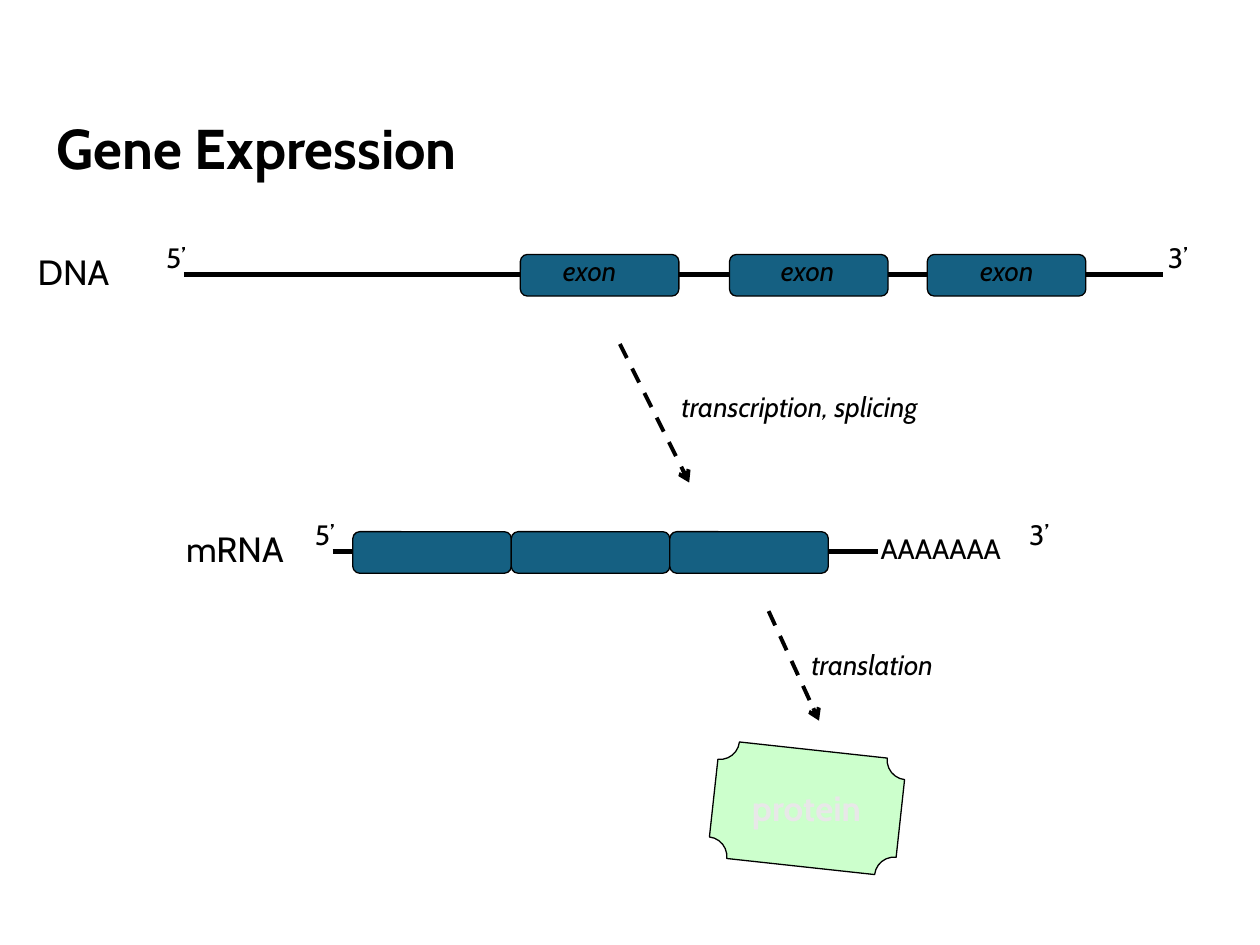
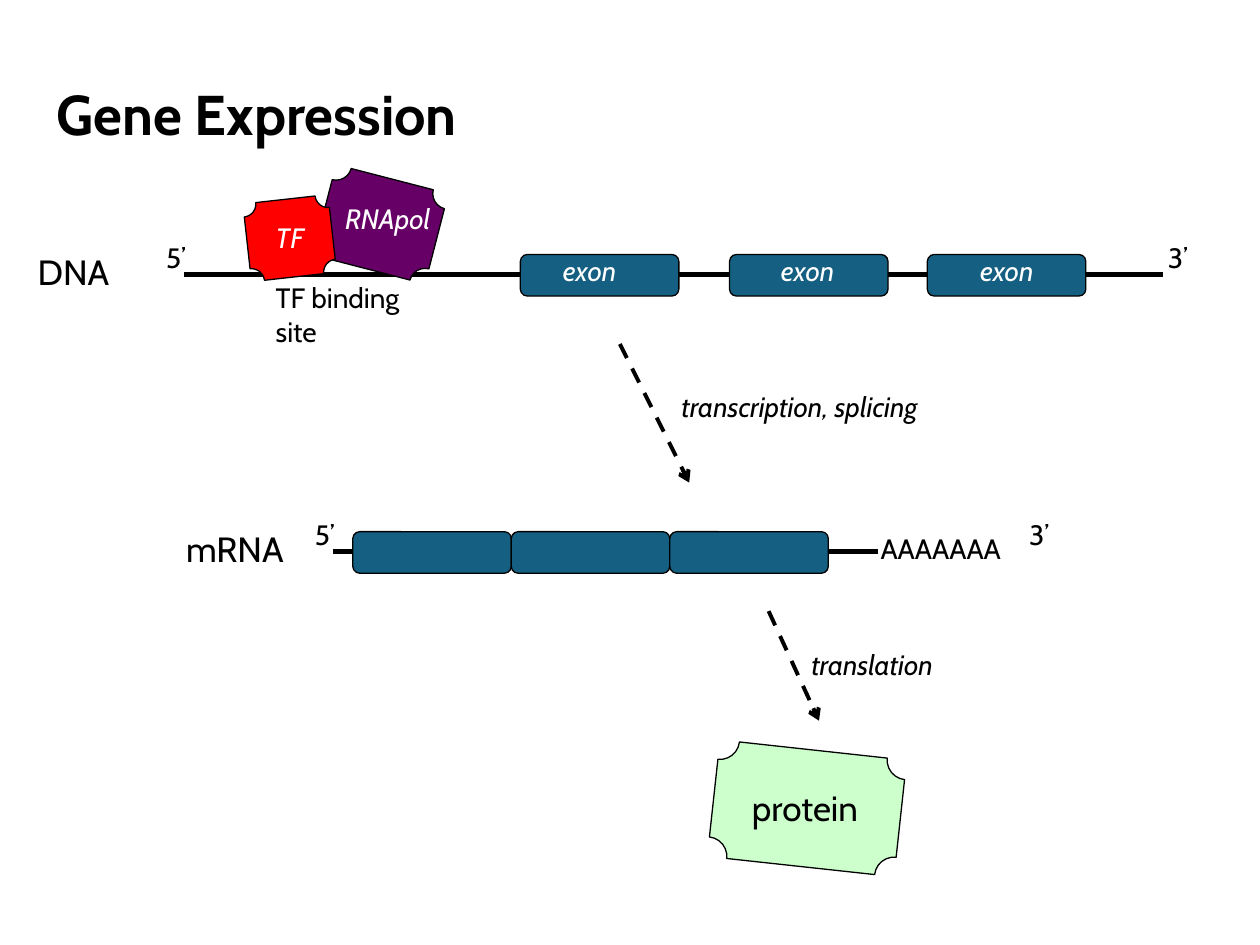
from lxml.etree import SubElement
from pptx import Presentation
from pptx.dml.color import RGBColor
from pptx.enum.dml import MSO_LINE_DASH_STYLE as Dash
from pptx.enum.shapes import MSO_CONNECTOR as Connector, MSO_SHAPE as Shape
from pptx.enum.text import MSO_ANCHOR as Anchor, MSO_AUTO_SIZE as AutoSize, PP_ALIGN as Align
from pptx.oxml.ns import qn
from pptx.util import Inches, Pt

COLOURS = {
    "ink": "000000",
    "white": "FFFFFF",
    "pale": "E8E8E8",
    "exon": "156082",
    "protein": "CCFFCC",
    "polymerase": "660066",
    "factor": "FF0000",
}
PALETTE = {name: RGBColor.from_string(code) for name, code in COLOURS.items()}
FONT = "Cabin"

deck = Presentation()
deck.slide_width, deck.slide_height = Inches(10), Inches(7.5)
COLUMN = deck.slide_width / 100
ROW = deck.slide_height / 75

EXON_WIDTH, EXON_HEIGHT = 12.58, 3.3
DNA_EXONS = [41.3, 57.9, 73.6]
MRNA_EXONS = [28 + EXON_WIDTH * place for place in range(3)]
STRANDS = [(14.6, 92.3, 21.8), (26.4, 69.7, 43.8)]
ARROWS = [(49.2, 27.3, 54.7, 38.3), (61, 48.5, 65, 57.2)]
STRAND_NAMES = [("DNA", 2, 19.4), ("mRNA", 13.8, 41.4)]
STRAND_ENDS = [("5’", 12.2, 18.6), ("3’", 91.7, 18.6), ("5’", 24, 40.6), ("3’", 80.7, 40.6)]
STEPS = [("transcription, splicing", 53.1, 30.4), ("translation", 63.4, 50.9)]
EXON_LABELS = [43.7, 61, 76.8]


def add_block(page, kind, left, top, width, height, fill, rotation=0):
    block = page.shapes.add_shape(
        kind, round(left * COLUMN), round(top * ROW), round(width * COLUMN), round(height * ROW))
    block.shadow.inherit = False
    block.rotation = rotation
    block.fill.solid()
    block.fill.fore_color.rgb = PALETTE[fill]
    block.line.color.rgb = PALETTE["ink"]
    block.line.width = Pt(0.75)


def add_label(page, text, left, top, width=13.4, size=16, colour="ink", italic=False, bold=False):
    height = 4.4 if size == 20 else 3.7
    box = page.shapes.add_textbox(
        round(left * COLUMN), round(top * ROW), round(width * COLUMN), round(height * ROW))
    box.text_frame.word_wrap = True
    box.text_frame.auto_size = AutoSize.SHAPE_TO_FIT_TEXT
    para = box.text_frame.paragraphs[0]
    para.text = text
    para.font.name, para.font.size = FONT, Pt(size)
    para.font.italic, para.font.bold = italic, bold
    para.font.color.rgb = PALETTE[colour]


title_only = deck.slide_layouts[5]
for title_height, exon_colour, protein_colour, protein_bold, with_factors in [
    (16.8, "ink", "pale", True, False),
    (14.1, "white", "ink", False, True),
]:
    page = deck.slides.add_slide(title_only)

    title = page.shapes.title
    title.left, title.top = round(3.5 * COLUMN), round(-1.9 * ROW)
    title.width, title.height = round(93.7 * COLUMN), round(title_height * ROW)
    title.text_frame.vertical_anchor = Anchor.BOTTOM
    title.text_frame.word_wrap = True
    title.text_frame.auto_size = AutoSize.NONE
    heading = title.text_frame.paragraphs[0]
    heading.text = "Gene Expression"
    heading.alignment = Align.LEFT
    heading.line_spacing = 0.9
    heading.font.name, heading.font.size, heading.font.bold = FONT, Pt(32), True
    heading.font.color.rgb = PALETTE["ink"]

    strands = [(start, level, end, level, 3, False) for start, end, level in STRANDS]
    arrows = [(*ends, 2.25, True) for ends in ARROWS]
    for x1, y1, x2, y2, weight, is_arrow in strands + arrows:
        line = page.shapes.add_connector(
            Connector.STRAIGHT, round(x1 * COLUMN), round(y1 * ROW), round(x2 * COLUMN), round(y2 * ROW))
        line.line.color.rgb = PALETTE["ink"]
        line.line.width = Pt(weight)
        if is_arrow:
            line.line.dash_style = Dash.DASH
            SubElement(line.line._get_or_add_ln(), qn("a:tailEnd"), type="arrow")
        SubElement(line._element.spPr, qn("a:effectLst"))

    for lefts, top in [(DNA_EXONS, 20.2), (MRNA_EXONS, 42.2)]:
        for left in lefts:
            add_block(page, Shape.ROUNDED_RECTANGLE, left, top, EXON_WIDTH, EXON_HEIGHT, "exon")
    for left in EXON_LABELS:
        add_label(page, "exon", left, 19.6, colour=exon_colour, italic=True)

    for name, left, top in STRAND_NAMES:
        add_label(page, name, left, top, size=20)
    for end, left, top in STRAND_ENDS:
        add_label(page, end, left, top, width=4.7)
    add_label(page, "AAAAAAA", 68.9, 41.7, width=22.8)
    for step, left, top in STEPS:
        add_label(page, step, left, top, width=22.8, italic=True)

    add_block(page, Shape.PLAQUE, 56.6, 59.5, 14.9, 9.3, "protein", 6.2)
    add_label(page, "protein", 58.7, 61.9, size=20, colour=protein_colour, bold=protein_bold)

    if with_factors:
        add_block(page, Shape.PLAQUE, 25.6, 14.1, 9.2, 7.4, "polymerase", 14.5)
        add_block(page, Shape.PLAQUE, 19.6, 15.8, 6.8, 6.2, "factor", 353.6)
        add_label(page, "TF", 20.9, 17, colour="white", italic=True)
        add_label(page, "RNApol", 26.4, 15.5, colour="white", italic=True)
        add_label(page, "TF binding site", 20.9, 21.8, width=12.6)

deck.save("out.pptx")
